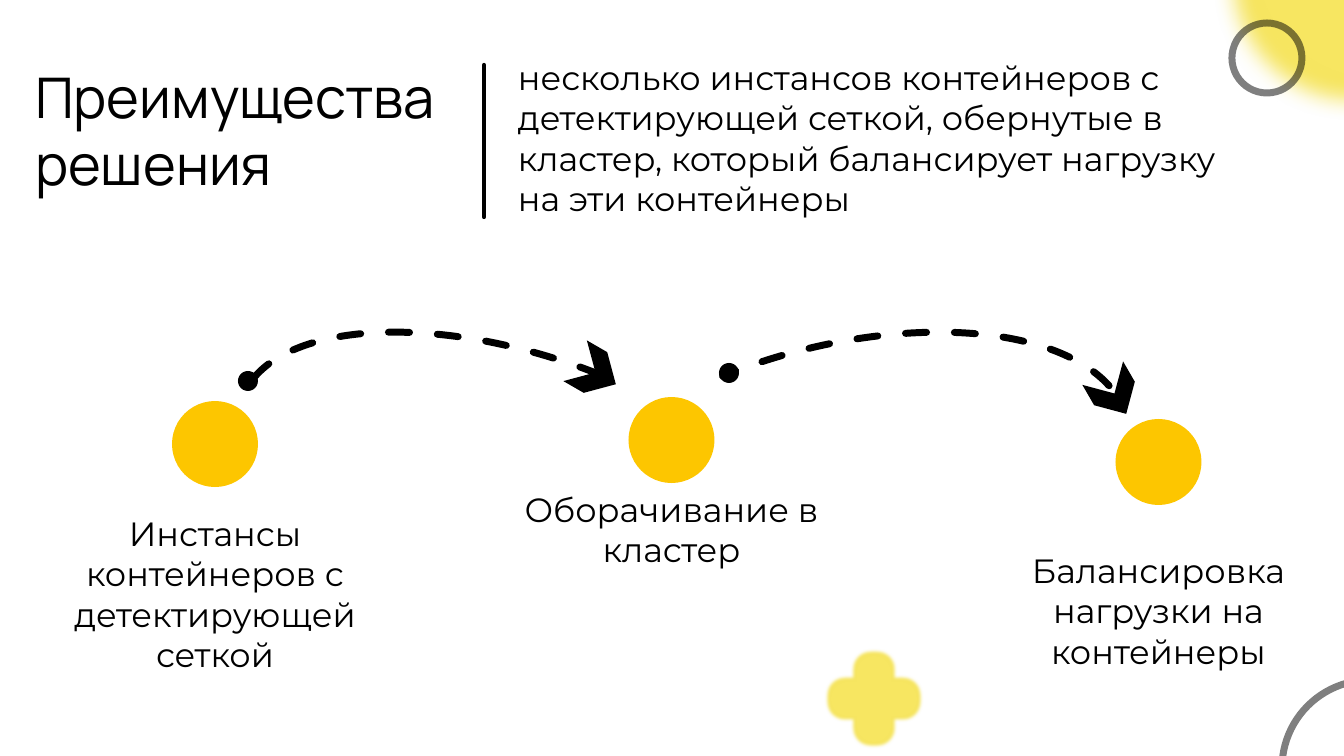
from dataclasses import dataclass
from math import cos, radians, sin

from lxml.etree import SubElement
from pptx import Presentation
from pptx.dml.color import RGBColor
from pptx.enum.dml import MSO_LINE_DASH_STYLE as Dash
from pptx.enum.shapes import MSO_CONNECTOR as Connector, MSO_SHAPE as Shape
from pptx.enum.text import MSO_ANCHOR as Anchor, PP_ALIGN as Align
from pptx.oxml.ns import qn
from pptx.util import Emu, Pt

EMU_PER_PX = 914400 / 100.8


@dataclass(frozen=True)
class Theme:
    ink: RGBColor = RGBColor(0x00, 0x00, 0x00)
    paper: RGBColor = RGBColor(0xFF, 0xFF, 0xFF)
    ball: RGBColor = RGBColor(0xFD, 0xC6, 0x00)
    accent: RGBColor = RGBColor(0xF7, 0xE6, 0x61)
    title_font: str = "Manrope"
    body_font: str = "Montserrat"
    title_size: int = 40
    body_size: int = 24
    stroke: int = 5
    divider: int = 3


THEME = Theme()


def px(length):
    return Emu(round(length * EMU_PER_PX))


def format_text(shape, text, font=THEME.body_font, size=THEME.body_size, align=Align.LEFT):
    frame = shape.text_frame
    frame.word_wrap = True
    frame.vertical_anchor = Anchor.TOP
    frame.text = text
    paragraph = frame.paragraphs[0]
    paragraph.alignment = align
    paragraph.font.name = font
    paragraph.font.size = Pt(size)
    paragraph.font.color.rgb = THEME.ink


def add_text(slide, box, text, **formats):
    format_text(slide.shapes.add_textbox(*map(px, box)), text, **formats)


def paint(shape, color):
    shape.shadow.inherit = False
    shape.fill.solid()
    shape.fill.fore_color.rgb = color
    shape.line.fill.background()


def add_solid(slide, kind, box, color, rotation=0):
    shape = slide.shapes.add_shape(kind, *map(px, box))
    paint(shape, color)
    shape.rotation = rotation
    return shape


def add_outline(slide, kind, box, rotation=0):
    shape = slide.shapes.add_shape(kind, *map(px, box))
    shape.shadow.inherit = False
    shape.fill.background()
    shape.line.color.rgb = THEME.ink
    shape.line.width = Pt(THEME.stroke)
    shape.rotation = rotation
    return shape


def add_glow(shape, radius):
    effects = shape._element.spPr.find(qn("a:effectLst"))
    glow = SubElement(effects, qn("a:glow"), rad=str(px(radius)))
    SubElement(glow, qn("a:srgbClr"), val=str(THEME.accent))


def add_ring(slide, left, top, size):
    ring = add_outline(slide, Shape.OVAL, (left, top, size, size))
    color = ring.line._ln.find(".//" + qn("a:srgbClr"))
    SubElement(color, qn("a:alpha"), val="50000")


def add_plus(slide, left, top, size):
    half = size / 2
    radius = size / 5
    points = []
    for turn in map(radians, range(0, 360, 90)):
        arm = [
            (half - radius + radius * cos(angle), radius * sin(angle))
            for angle in map(radians, range(-90, 91, 15))
        ]
        for x, y in arm + [(radius, radius)]:
            points.append((
                px(left + half + x * cos(turn) - y * sin(turn)),
                px(top + half + x * sin(turn) + y * cos(turn)),
            ))
    builder = slide.shapes.build_freeform(*points[0], scale=1.0)
    builder.add_line_segments(points[1:], close=True)
    plus = builder.convert_to_shape()
    paint(plus, THEME.accent)
    add_glow(plus, 7)


def add_header(slide, left, top, width, height):
    title = slide.shapes.title
    title.left, title.top, title.width, title.height = map(px, (left, top + 5, 589, 146))
    format_text(title, "Преимущества решения", THEME.title_font, THEME.title_size)
    add_text(
        slide,
        (left + 483, top, width - 483, height),
        "несколько инстансов контейнеров с детектирующей сеткой, "
        "обернутые в кластер, который балансирует нагрузку на эти контейнеры",
    )
    x = left + 459
    line = slide.shapes.add_connector(
        Connector.STRAIGHT, px(x), px(top + 13), px(x), px(top + 165)
    )
    line.line.color.rgb = THEME.ink
    line.line.width = Pt(THEME.divider)
    line.line._ln.set("cap", "rnd")
    SubElement(line._element.spPr, qn("a:effectLst"))


def add_step(slide, left, top, width, caption, caption_top, caption_height):
    ball = 86
    add_solid(slide, Shape.OVAL, (left + (width - ball) / 2, top, ball, ball), THEME.ball)
    add_text(
        slide, (left, top + caption_top, width, caption_height), caption, align=Align.CENTER
    )


def add_curved_arrow(slide, box, rotation, bounds, flipped, start, head, head_rotation):
    left, top = box[:2]
    arc = add_outline(slide, Shape.ARC, box, rotation)
    for index, bound in enumerate(bounds):
        arc.adjustments[index] = bound
    if flipped:
        arc._element.spPr.find(qn("a:xfrm")).set("flipV", "1")
    arc.line.dash_style = Dash.DASH
    arc.line._ln.set("cap", "rnd")
    add_solid(slide, Shape.OVAL, (left + start[0], top + start[1], 20, 20), THEME.ink)
    add_solid(
        slide, Shape.CHEVRON, (left + head[0], top + head[1], 47, 47), THEME.ink, head_rotation
    )


def add_corner(slide, left, top):
    blob = add_solid(slide, Shape.OVAL, (left + 24, top - 187, 242, 242), THEME.accent)
    add_glow(blob, 44)
    add_ring(slide, left, top, 70)


def build_slide(presentation):
    slide = presentation.slides.add_slide(presentation.slide_layouts[5])
    slide.background.fill.solid()
    slide.background.fill.fore_color.rgb = THEME.paper
    add_header(slide, 25, 52, 1214, 173)
    add_plus(slide, 831, 656, 86)
    add_ring(slide, 1282, 680, 176)
    steps = [
        (35, 401, 360, "Инстансы контейнеров с детектирующей сеткой", 107, 173),
        (510, 397, 323, "Оборачивание в кластер", 87, 92),
        (997, 419, 323, "Балансировка нагрузки на контейнеры", 126, 132),
    ]
    for step in steps:
        add_step(slide, *step)
    arrows = [
        ((383, 198, 278, 592), 288.5, (164.9, 8.28), False, (-145, 173), (189, 151), 30),
        ((682, 193, 302, 610), 255, (166.28, 16.3), True, (37, 170), (409, 177), 60),
    ]
    for arrow in arrows:
        add_curved_arrow(slide, *arrow)
    add_corner(slide, 1232, 23)


def main():
    presentation = Presentation()
    presentation.slide_width = px(1344)
    presentation.slide_height = px(756)
    build_slide(presentation)
    presentation.save("out.pptx")


if __name__ == "__main__":
    main()
